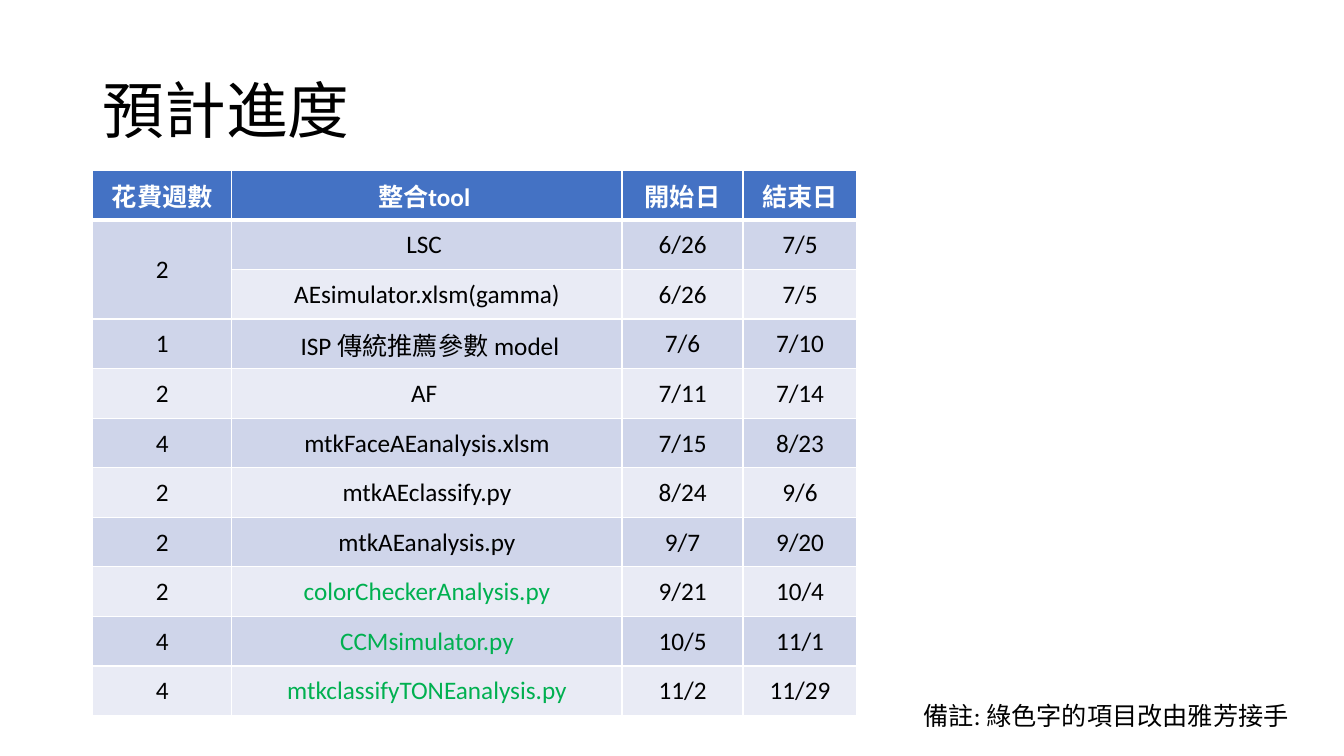
import pptx
import pptx.util
import pptx.dml.color
import pptx.enum.text
import pptx.oxml
import pptx.oxml.ns

TITLE = "預計進度"
NOTE = "備註: 綠色字的項目改由雅芳接手"
HEAD = ("花費週數", "整合tool ", "開始日", "結束日")
TASKS = [
    ("2", "LSC ", "6/26", "7/5"),
    ("", "AEsimulator.xlsm(gamma)", "6/26", "7/5"),
    ("1", " ISP 傳統推薦參數 model", "7/6", "7/10"),
    ("2", "AF ", "7/11", "7/14"),
    ("4", "mtkFaceAEanalysis.xlsm", "7/15", "8/23"),
    ("2", "mtkAEclassify.py", "8/24", "9/6"),
    ("2", "mtkAEanalysis.py", "9/7", "9/20"),
    ("2", "colorCheckerAnalysis.py", "9/21", "10/4"),
    ("4", "CCMsimulator.py", "10/5", "11/1"),
    ("4", "mtkclassifyTONEanalysis.py", "11/2", "11/29"),
]
GREEN_FROM = 8
COLS = (1.38, 3.87, 1.2, 1.13)
TALL = 5.41
BLUE, BANDS = "4472C4", ("E9EBF5", "CFD5EA")
WHITE, BLACK, GREEN = "FFFFFF", "000000", "00B050"
MIDDLE = pptx.enum.text.MSO_ANCHOR.MIDDLE
ALIGN = pptx.enum.text.PP_ALIGN
FIT = pptx.enum.text.MSO_AUTO_SIZE
INCH = pptx.util.Inches


def tint(code):
    return pptx.dml.color.RGBColor.from_string(code)


def assign(item, values):
    for name, value in values.items():
        setattr(item, name, value)


def write(frame, text, size, color, align, bold=False):
    para = frame.paragraphs[0]
    run = para.add_run()
    run.text = text
    para.alignment = align
    assign(run.font, {"name": "Calibri", "size": pptx.util.Pt(size), "bold": bold})
    run.font.color.rgb = tint(color)
    return para


def border(cell, widths):
    props = cell._tc.get_or_add_tcPr()
    for spot, (side, width) in enumerate(widths.items()):
        line = pptx.oxml.parse_xml(
            f'<a:ln{side} {pptx.oxml.ns.nsdecls("a")} w="{pptx.util.Pt(width)}">'
            f'<a:solidFill><a:srgbClr val="{WHITE}"/></a:solidFill></a:ln{side}>')
        props.insert(spot, line)


def add_title(slide):
    title = slide.shapes.title
    assign(title, {"left": INCH(0.92), "top": INCH(0.4),
                   "width": INCH(11.5), "height": INCH(1.45)})
    assign(title.text_frame, {"vertical_anchor": MIDDLE, "auto_size": FIT.NONE})
    write(title.text_frame, TITLE, 44, BLACK, ALIGN.LEFT).line_spacing = 0.9


def add_plan(slide):
    rows = [HEAD] + TASKS
    table = slide.shapes.add_table(
        len(rows), len(COLS), INCH(0.92), INCH(1.69), INCH(sum(COLS)), INCH(TALL)).table
    for col, width in zip(table.columns, COLS):
        col.width = INCH(width)
    for r, row in enumerate(rows):
        table.rows[r].height = INCH(TALL / len(rows))
        for c, text in enumerate(row):
            cell = table.cell(r, c)
            assign(cell, {"vertical_anchor": MIDDLE, "margin_left": INCH(0.01),
                          "margin_right": INCH(0.01), "margin_top": INCH(0.01),
                          "margin_bottom": 0})
            cell.fill.solid()
            cell.fill.fore_color.rgb = tint(BANDS[r % 2] if r else BLUE)
            border(cell, {"L": 1, "R": 1, "T": 3 if r == 1 else 1, "B": 1 if r else 3})
            if text:
                green = c == 1 and r >= GREEN_FROM
                color = WHITE if r == 0 else GREEN if green else BLACK
                write(cell.text_frame, text, 18, color, ALIGN.CENTER, r == 0)
    table.cell(1, 0).merge(table.cell(2, 0))


def add_note(slide):
    frame = slide.shapes.add_textbox(
        INCH(9.06), INCH(6.9), INCH(4.13), INCH(0.4)).text_frame
    assign(frame, {"word_wrap": True, "auto_size": FIT.SHAPE_TO_FIT_TEXT})
    write(frame, NOTE, 18, BLACK, ALIGN.LEFT)


def main():
    deck = pptx.Presentation()
    assign(deck, {"slide_width": INCH(13.33), "slide_height": INCH(7.5)})
    slide = deck.slides.add_slide(deck.slide_layouts[5])
    add_title(slide)
    add_plan(slide)
    add_note(slide)
    deck.save("out.pptx")


if __name__ == "__main__":
    main()
